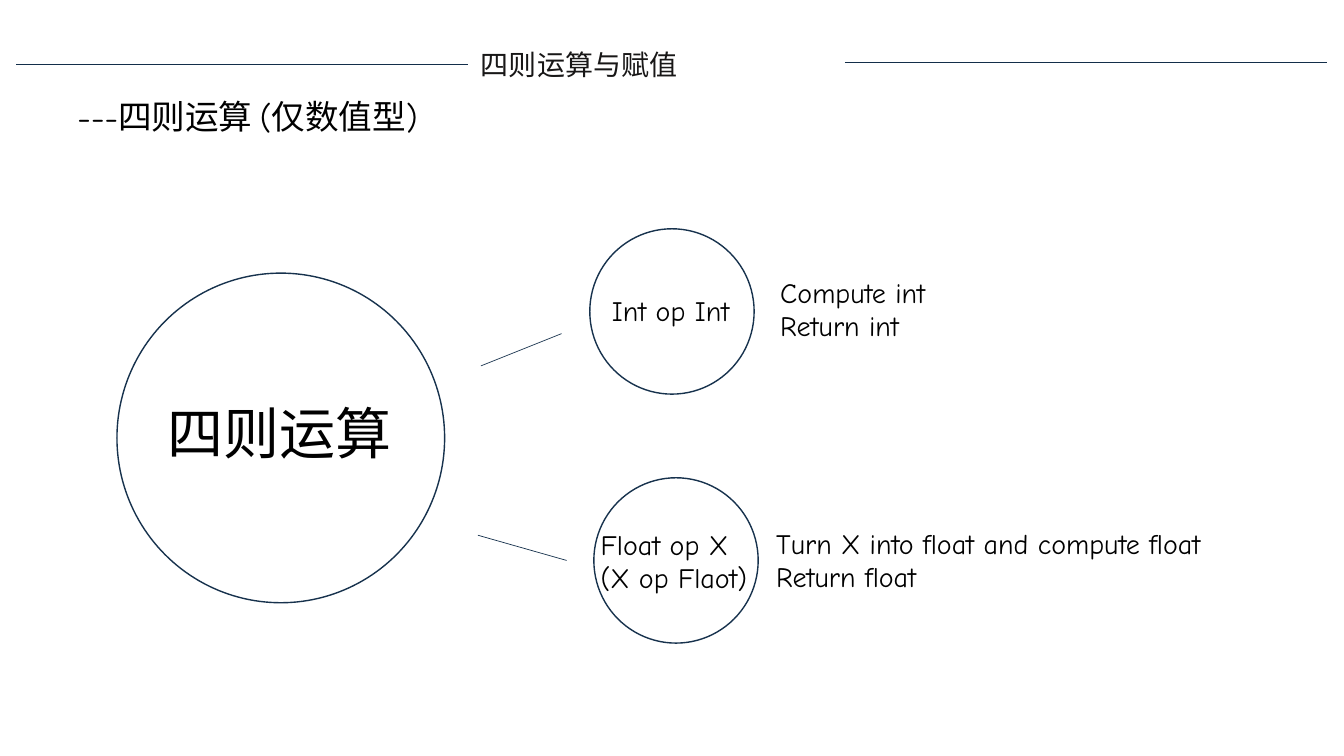
import pptx
import pptx.dml.color
import pptx.enum.shapes
import pptx.enum.text
import pptx.oxml
import pptx.oxml.ns
import pptx.util

Inches = pptx.util.Inches
LATIN = "Comic Neue"
CHINESE = "Noto Sans CJK SC"


def color(value):
    return pptx.dml.color.RGBColor.from_string(value)


def write_text(box, text, size=20, font=LATIN, fill="000000", wrap=True,
               align=pptx.enum.text.PP_ALIGN.LEFT):
    frame = box.text_frame
    frame.text = text
    frame.word_wrap = wrap
    frame.auto_size = pptx.enum.text.MSO_AUTO_SIZE.SHAPE_TO_FIT_TEXT
    for para in frame.paragraphs:
        para.alignment = align
        for span in para.runs:
            span.font.size = pptx.util.Pt(size)
            span.font.name = font
            span.font.color.rgb = color(fill)
            east_asian = pptx.oxml.parse_xml(
                f'<a:ea {pptx.oxml.ns.nsdecls("a")} typeface="{CHINESE}"/>')
            span.font._element.find(pptx.oxml.ns.qn("a:latin")).addnext(east_asian)


class SlideBuilder:
    outline = "17324D"
    rule = "132E4A"

    def __init__(self, deck):
        self.page = deck.slides.add_slide(deck.slide_layouts[5])

    def place(self, box, left, top, width, height):
        box.left, box.top = Inches(left), Inches(top)
        box.width, box.height = Inches(width), Inches(height)

    def title(self, text, *area):
        box = self.page.shapes.title
        self.place(box, *area)
        write_text(box, text, font=CHINESE, fill="181717",
                   align=pptx.enum.text.PP_ALIGN.JUSTIFY)
        frame = box.text_frame
        frame.vertical_anchor = pptx.enum.text.MSO_ANCHOR.MIDDLE
        frame.margin_left = frame.margin_right = 0
        frame.margin_top = frame.margin_bottom = 0

    def line(self, start, end, stroke, width):
        connector = self.page.shapes.add_connector(
            pptx.enum.shapes.MSO_CONNECTOR.STRAIGHT,
            *map(Inches, start + end))
        connector.line.color.rgb = color(stroke)
        connector.line.width = pptx.util.Pt(width)
        connector._element.spPr.append(pptx.oxml.parse_xml(
            f'<a:effectLst {pptx.oxml.ns.nsdecls("a")}/>'))

    def circle(self, *area):
        shape = self.page.shapes.add_shape(
            pptx.enum.shapes.MSO_SHAPE.OVAL, *map(Inches, area))
        shape.shadow.inherit = False
        shape.fill.background()
        shape.line.color.rgb = color(self.outline)
        shape.line.width = pptx.util.Pt(1)

    def label(self, text, *area, **style):
        box = self.page.shapes.add_textbox(*map(Inches, area))
        write_text(box, text, **style)


def main():
    deck = pptx.Presentation()
    deck.slide_width, deck.slide_height = Inches(13.33), Inches(7.5)
    slide = SlideBuilder(deck)

    slide.title("四则运算与赋值", 4.77, 0.47, 3.21, 0.34)
    slide.line((0.16, 0.64), (4.64, 0.64), slide.rule, 1)
    slide.line((8.38, 0.62), (13.16, 0.62), slide.rule, 1)
    slide.label("---四则运算 (仅数值型)", 0.67, 0.9, 3.75, 0.5, size=24)

    slide.line((4.77, 3.63), (5.57, 3.31), slide.outline, 0.5)
    slide.line((4.74, 5.31), (5.62, 5.56), slide.outline, 0.5)

    slide.circle(1.16, 2.71, 3.25, 3.27)
    slide.label("四则运算", 1.56, 3.9, 2.45, 0.77, size=40, font=CHINESE, wrap=False)

    slide.circle(5.85, 2.27, 1.63, 1.64)
    slide.label("Int op Int", 5.97, 2.86, 1.55, 0.44)
    slide.label("Compute int\nReturn int", 7.64, 2.68, 3.25, 0.77)

    slide.circle(5.89, 4.74, 1.63, 1.64)
    slide.label("Float op X\n(X op Flaot)", 5.86, 5.18, 1.74, 0.77)
    slide.label("Turn X into float and compute float\nReturn float",
                7.6, 5.17, 4.99, 0.77)

    deck.save("out.pptx")


if __name__ == "__main__":
    main()
